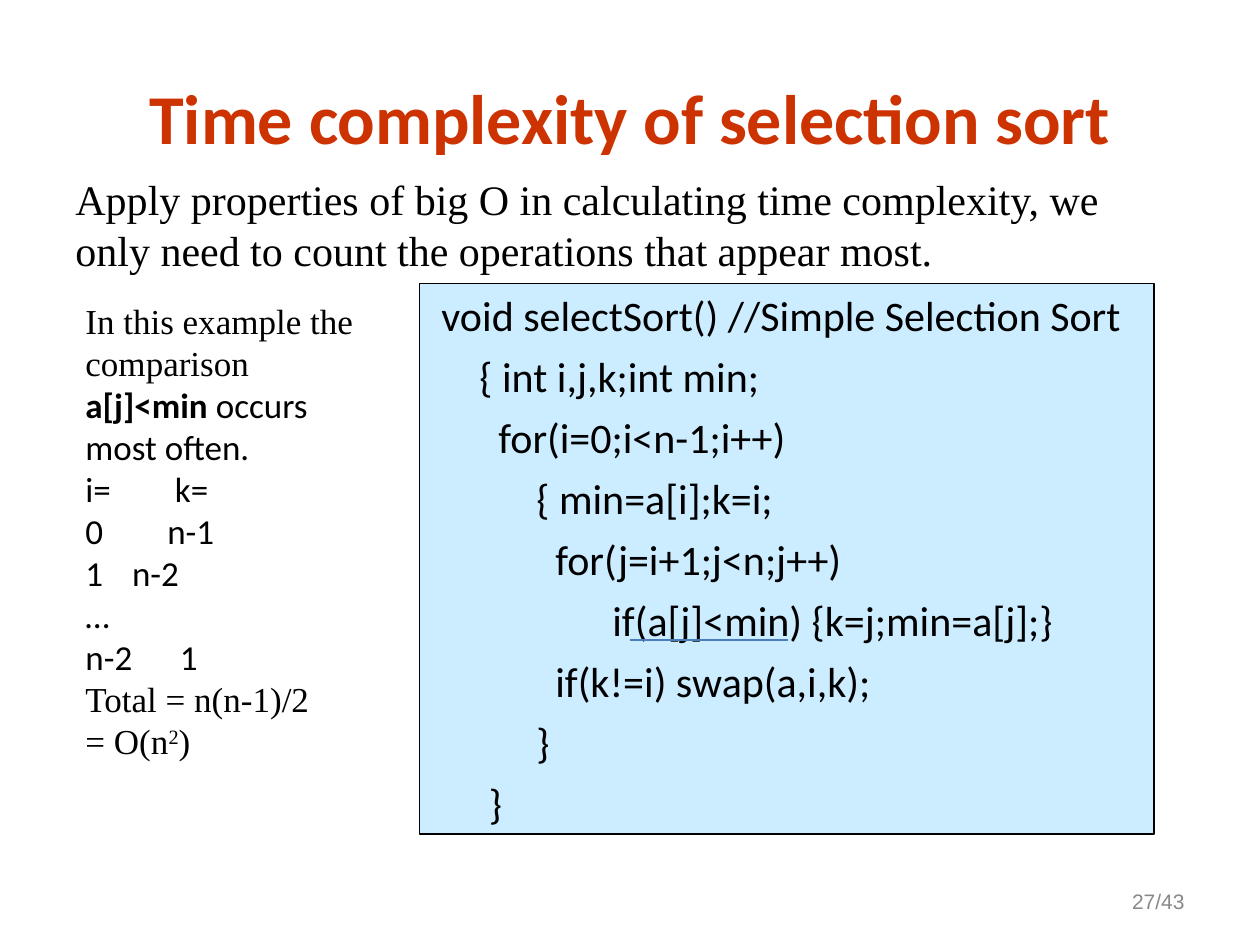
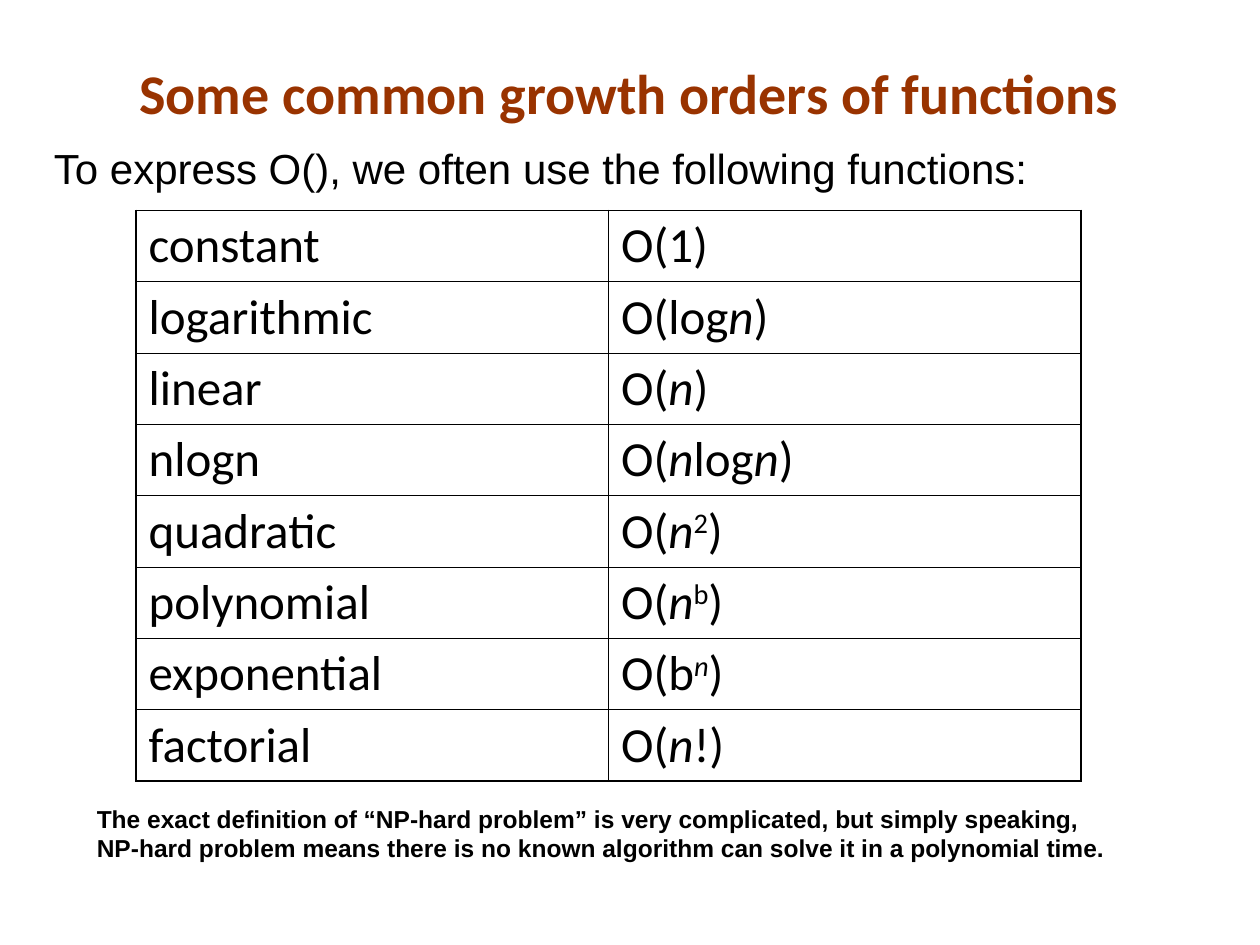
from lxml import etree
from pptx import Presentation
from pptx.dml.color import RGBColor
from pptx.enum.shapes import MSO_CONNECTOR as CONNECTOR, MSO_SHAPE as SHAPE
from pptx.enum.text import MSO_ANCHOR as ANCHOR, PP_ALIGN as ALIGN
from pptx.oxml import parse_xml
from pptx.oxml.ns import nsdecls, qn
from pptx.util import Inches, Pt

BLACK, GREY, CODE_FILL, UNDERLINE = "000000", "898989", "CCECFF", "4A7EBB"
CALIBRI, TIMES, ARIAL = "Calibri", "Times New Roman", "Arial"
THICK, THIN = 1.08, 0.45

CODE = [
    " void selectSort() //Simple Selection Sort",
    "     { int i,j,k;int min;",
    "       for(i=0;i<n-1;i++)",
    "           { min=a[i];k=i;",
    "             for(j=i+1;j<n;j++)",
    "                   if(a[j]<min) {k=j;min=a[j];}",
    "             if(k!=i) swap(a,i,k);",
    "           }",
    "      }",
]

# Each paragraph: font of its runs, tab stop in inches or None, runs as (text, style)
COUNTING = [
    (TIMES, None, [("In this example the comparison ", ""), ("a[j]<min", "bc"),
                   (" occurs most often.", "c")]),
    (CALIBRI, 0.71, [("i=\tk=", "")]),
    (CALIBRI, 0.65, [("0\tn-1", "")]),
    (CALIBRI, 0.37, [("1\tn-2", "")]),
    (CALIBRI, None, [("…", "")]),
    (CALIBRI, 0.75, [("n-2\t1", "")]),
    (TIMES, None, [("Total = n(n-1)/2", "")]),
    (TIMES, None, [("= O(n", ""), ("2", "^"), (")", "")]),
]

GROWTH_ORDERS = [
    ("constant", [("O(1)", "")]),
    ("logarithmic", [("O(log", ""), ("n", "i"), (")", "")]),
    ("linear", [("O(", ""), ("n", "i"), (")", "")]),
    ("nlogn", [("O(", ""), ("n", "i"), ("log", ""), ("n", "i"), (")", "")]),
    ("quadratic", [("O(", ""), ("n", "i"), ("2", "^"), (")", "")]),
    ("polynomial", [("O(", ""), ("n", "i"), ("b", "^"), (")", "")]),
    ("exponential", [("O(b", ""), ("n", "i^"), (")", "")]),
    ("factorial", [("O(", ""), ("n", "i"), ("!)", "")]),
]


def rgb(color):
    return RGBColor.from_string(color)


def format_run(r, font, size, color=BLACK, bold=False, italic=False):
    r.font.name, r.font.size = font, Pt(size)
    r.font.bold, r.font.italic = bold, italic
    r.font.color.rgb = rgb(color)


def add_runs(p, runs, font, size):
    """Add (text, style) runs; style letters: b bold, i italic, c Calibri, ^ superscript."""
    for text, style in runs:
        r = p.add_run()
        r.text = text
        format_run(r, CALIBRI if "c" in style else font, size,
                   bold="b" in style, italic="i" in style)
        if "^" in style:
            r.font._element.set("baseline", "30000")


def set_tab_stop(p, position):
    p._p.get_or_add_pPr().append(parse_xml(
        f'<a:tabLst {nsdecls("a")}><a:tab pos="{Inches(position)}" algn="l"/></a:tabLst>'))


def add_text_box(s, left, top, width, height, anchor=ANCHOR.TOP):
    box = s.shapes.add_textbox(Inches(left), Inches(top), Inches(width), Inches(height))
    tf = box.text_frame
    tf.word_wrap = True
    tf.vertical_anchor = anchor
    return tf


def add_text(s, text, left, top, width, height, font, size, color=BLACK,
             bold=False, align=ALIGN.LEFT, anchor=ANCHOR.TOP):
    tf = add_text_box(s, left, top, width, height, anchor)
    tf.text = text
    p = tf.paragraphs[0]
    p.alignment = align
    format_run(p.runs[0], font, size, color, bold)


def add_title(s, text, left, top, width, height, size, color, anchor):
    add_text(s, text, left, top, width, height, CALIBRI, size, color,
             bold=True, align=ALIGN.CENTER, anchor=anchor)


def add_code_panel(s, lines, left, top, width, height):
    panel = s.shapes.add_shape(SHAPE.RECTANGLE, Inches(left), Inches(top),
                               Inches(width), Inches(height))
    panel.shadow.inherit = False
    panel.fill.solid()
    panel.fill.fore_color.rgb = rgb(CODE_FILL)
    panel.line.color.rgb = rgb(BLACK)
    panel.line.width = Pt(0.75)
    tf = panel.text_frame
    tf.word_wrap = True
    tf.vertical_anchor = ANCHOR.TOP
    tf.text = "\n".join(lines)
    for i, p in enumerate(tf.paragraphs):
        p.alignment = ALIGN.LEFT
        p.space_before = Pt(6 if i else 0)
        format_run(p.runs[0], CALIBRI, 24)


def add_underline(s, left, right, y):
    line = s.shapes.add_connector(CONNECTOR.STRAIGHT, Inches(left), Inches(y),
                                  Inches(right), Inches(y))
    line.line.color.rgb = rgb(UNDERLINE)
    line.line.width = Pt(0.75)
    etree.SubElement(line._element.spPr, qn("a:effectLst"))


def add_counting_note(s, left, top, width, height):
    tf = add_text_box(s, left, top, width, height)
    for i, (font, tab_stop, runs) in enumerate(COUNTING):
        p = tf.add_paragraph() if i else tf.paragraphs[0]
        if tab_stop:
            set_tab_stop(p, tab_stop)
        add_runs(p, runs, font, 20)


def set_borders(cell, **widths):
    """Draw black borders; widths in points by side, L R T B in that order."""
    tc_pr = cell._tc.get_or_add_tcPr()
    for side, width in widths.items():
        tc_pr.append(parse_xml(
            f'<a:ln{side} {nsdecls("a")} w="{Pt(width)}"><a:solidFill>'
            f'<a:srgbClr val="{BLACK}"/></a:solidFill></a:ln{side}>'))


def add_growth_table(s, left, top, width, height):
    last = len(GROWTH_ORDERS) - 1
    table = s.shapes.add_table(last + 1, 2, Inches(left), Inches(top),
                               Inches(width), Inches(height)).table
    table.first_row = table.horz_banding = False
    for row, (name, formula) in enumerate(GROWTH_ORDERS):
        for col, runs in enumerate([[(name, "")], formula]):
            cell = table.cell(row, col)
            set_borders(cell, L=THIN if col else THICK, R=THICK if col else THIN,
                        T=THIN if row else THICK, B=THICK if row == last else THIN)
            cell.fill.background()
            cell.margin_top = cell.margin_bottom = Inches(0.04)
            cell.vertical_anchor = ANCHOR.MIDDLE
            add_runs(cell.text_frame.paragraphs[0], runs, CALIBRI, 28)


def build_complexity_slide(s):
    add_text(s, "27/43", 7.17, 6.95, 2.33, 0.4, ARIAL, 12, GREY,
             align=ALIGN.RIGHT, anchor=ANCHOR.MIDDLE)
    add_code_panel(s, CODE, 3.33, 2.25, 5.83, 4.37)
    add_title(s, "Time complexity of selection sort", 0.5, 0.54, 9, 0.77,
              40, "CC3300", ANCHOR.MIDDLE)
    add_text(s, "Apply properties of big O in calculating time complexity, we only need "
             "to count the operations that appear most.",
             0.5, 1.33, 8.75, 0.9, TIMES, 24)
    add_underline(s, 5, 6.25, 5.08)
    add_counting_note(s, 0.58, 2.33, 2.5, 3.77)


def build_growth_slide(s):
    add_title(s, "Some common growth orders of functions", 0.33, 0.42, 9.33, 0.63,
              32, "993300", ANCHOR.BOTTOM)
    add_growth_table(s, 1.08, 1.67, 7.5, 4.53)
    add_text(s, "To express O(), we often use the following functions:",
             0.33, 1.08, 8.58, 0.5, ARIAL, 24)
    add_text(s, "The exact definition of “NP-hard problem” is very complicated, but simply "
             "speaking, NP-hard problem means there is no known algorithm can solve it "
             "in a polynomial time.",
             0.67, 6.33, 8.33, 0.57, ARIAL, 14, bold=True)


def main():
    prs = Presentation()
    prs.slide_width, prs.slide_height = Inches(10), Inches(7.5)
    for build in (build_complexity_slide, build_growth_slide):
        build(prs.slides.add_slide(prs.slide_layouts[6]))
    prs.save("out.pptx")


if __name__ == "__main__":
    main()
